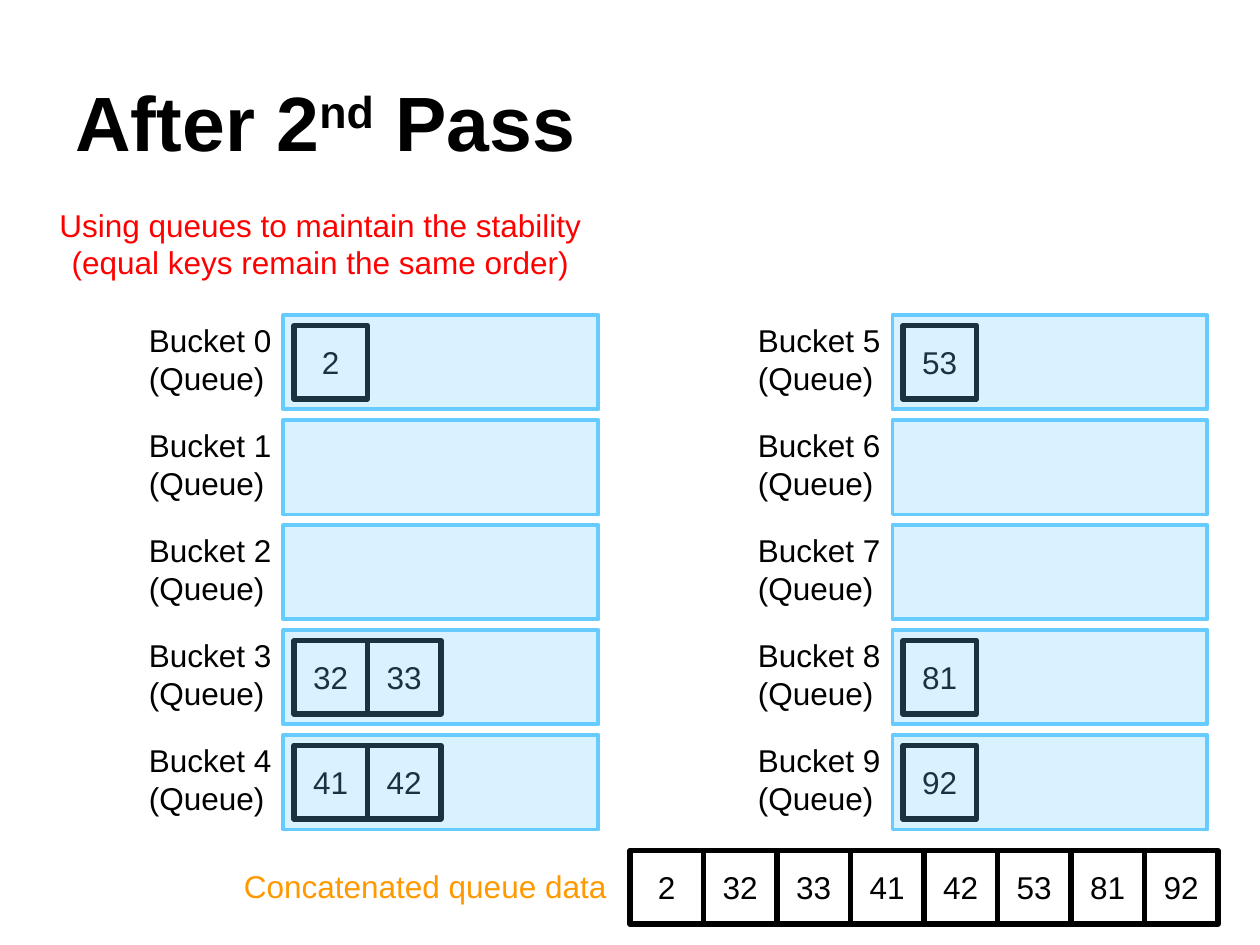
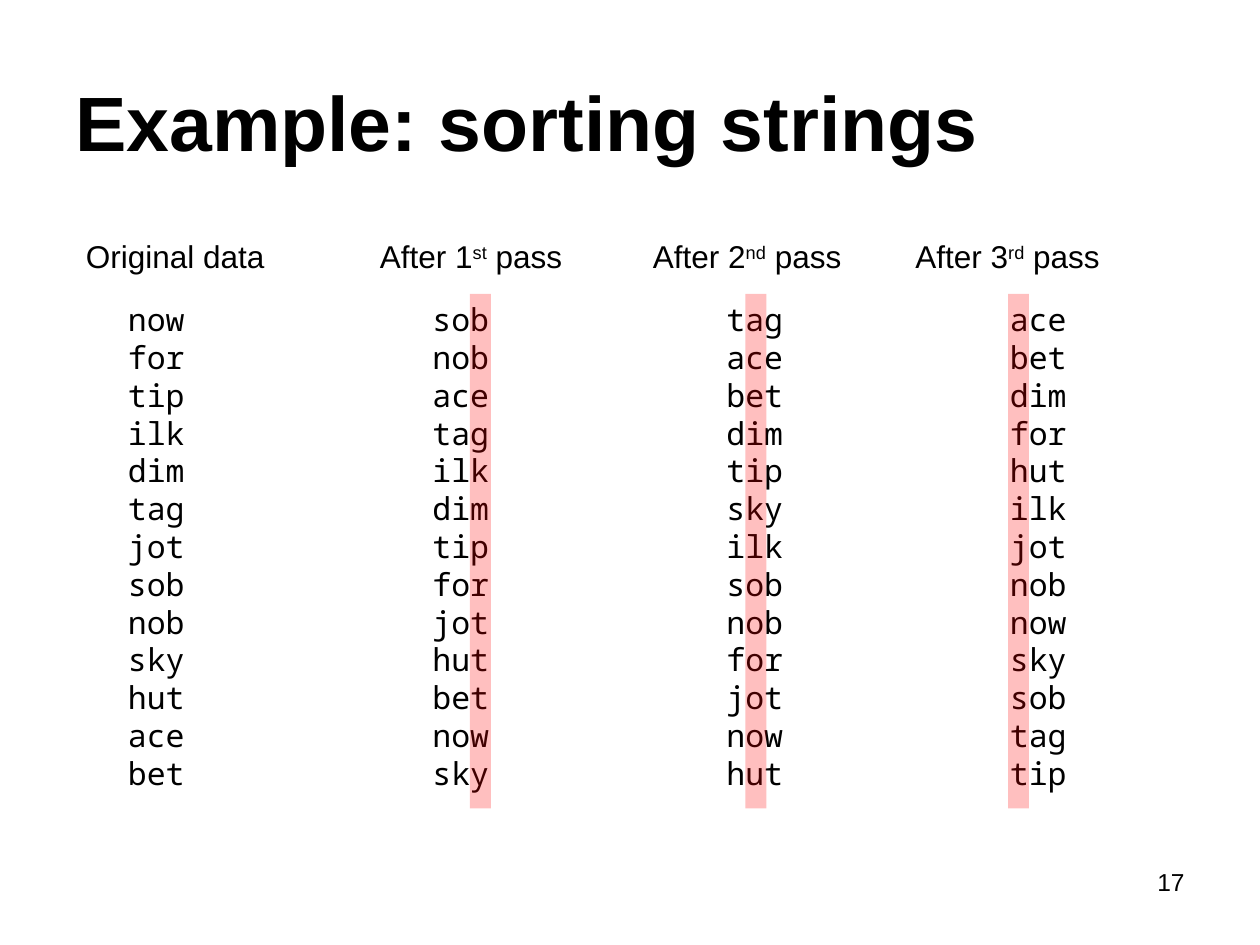
from dataclasses import dataclass

from lxml.etree import SubElement
from pptx import Presentation
from pptx.dml.color import RGBColor
from pptx.enum.shapes import MSO_SHAPE
from pptx.enum.text import MSO_ANCHOR, PP_ALIGN
from pptx.oxml.ns import qn
from pptx.util import Pt


@dataclass(frozen=True)
class Theme:
    font: str = "Arial"
    mono: str = "Noto Sans Mono"
    black: str = "000000"
    white: str = "FFFFFF"
    bucket: str = "66CCFF"
    red: str = "FF0000"
    orange: str = "FF9900"
    title_size: float = 44
    body_size: float = 18
    number_size: float = 14
    leading: float = 1.2
    alpha: int = 25


T = Theme()

BUCKETS = [[2], [], [], [32, 33], [41, 42], [53], [], [], [81], [92]]

PASSES = [
    ("Original data", 42, 66, None,
     "now for tip ilk dim tag jot sob nob sky hut ace bet"),
    ("After 1^st^ pass", 210, 240, 28.5,
     "sob nob ace tag ilk dim tip for jot hut bet now sky"),
    ("After 2^nd^ pass", 366, 408, 18,
     "tag ace bet dim tip sky ilk sob nob for jot now hut"),
    ("After 3^rd^ pass", 516, 570, 6,
     "ace bet dim for hut ilk jot nob now sky sob tag tip"),
]


def write(tf, text, size=T.body_size, font=T.font, color=T.black, bold=False,
          align=PP_ALIGN.LEFT, anchor=MSO_ANCHOR.TOP, wrap=True):
    tf.word_wrap = wrap
    tf.vertical_anchor = anchor
    for i, line in enumerate(text.split("\n")):
        p = tf.paragraphs[0] if i == 0 else tf.add_paragraph()
        p.alignment = align
        p.line_spacing = Pt(size * T.leading)
        for j, part in enumerate(line.split("^")):
            r = p.add_run()
            r.text = part
            r.font.size = Pt(size)
            r.font.name = font
            r.font.bold = bold
            r.font.color.rgb = RGBColor.from_string(color)
            if j % 2:
                r.font._element.set("baseline", "30000")


def add_text(s, text, x, y, w, h, **fmt):
    tf = s.shapes.add_textbox(Pt(x), Pt(y), Pt(w), Pt(h)).text_frame
    write(tf, text, **fmt)
    return tf


def add_rect(s, x, y, w, h, fill, line=None, weight=0, alpha=None):
    sp = s.shapes.add_shape(MSO_SHAPE.RECTANGLE, Pt(x), Pt(y), Pt(w), Pt(h))
    sp.shadow.inherit = False
    sp.fill.solid()
    sp.fill.fore_color.rgb = RGBColor.from_string(fill)
    if alpha:
        clr = sp.fill._xPr.find(qn("a:solidFill"))[0]
        SubElement(clr, qn("a:alpha")).set("val", str(alpha * 1000))
    if line:
        sp.line.color.rgb = RGBColor.from_string(line)
        sp.line.width = Pt(weight)
    else:
        sp.line.fill.background()
    return sp


def add_title(s, text):
    tf = add_text(s, text, 36, 21.6, 648, 90, size=T.title_size, bold=True,
                  anchor=MSO_ANCHOR.MIDDLE)
    tf.margin_top = Pt(8)


def add_number(s, number):
    add_text(s, str(number), 516, 492, 168, 37.44, size=T.number_size,
             align=PP_ALIGN.RIGHT)


def add_cells(s, values, x, y, side=42):
    for i, value in enumerate(values):
        sp = add_rect(s, x + i * side, y, side, side, T.white, T.black, 3)
        write(sp.text_frame, str(value), align=PP_ALIGN.CENTER,
              anchor=MSO_ANCHOR.MIDDLE, wrap=False)


def add_bucket(s, index, values, x, y):
    add_text(s, f"Bucket {index} (Queue)", x, y, 90, 50.4)
    add_cells(s, values, x + 90, y + 6)
    add_rect(s, x + 84, y, 180, 54, T.bucket, T.bucket, 2.25, T.alpha)


def add_pass(s, heading, heading_x, words_x, bar_dx, words, y):
    add_text(s, heading, heading_x, y, 156, 28.8)
    add_text(s, words.replace(" ", "\n"), words_x, y + 36, 54, 288.72,
             font=T.mono)
    if bar_dx is not None:
        add_rect(s, words_x + bar_dx, y + 36, 12, 294, T.red, alpha=T.alpha)


def bucket_slide(s):
    add_title(s, "After 2^nd^ Pass")
    add_text(s, "Using queues to maintain the stability "
             "(equal keys remain the same order)",
             18, 114, 330, 50.4, color=T.red, align=PP_ALIGN.CENTER)
    for i, values in enumerate(BUCKETS):
        col, row = divmod(i, 5)
        add_bucket(s, i, values, 78 + col * 348, 180 + row * 60)
    add_text(s, "Concatenated queue data", 132, 492, 222, 28.8,
             color=T.orange, align=PP_ALIGN.CENTER)
    add_cells(s, sum(BUCKETS, []), 360, 486)


def strings_slide(s):
    add_title(s, "Example: sorting strings")
    for step in PASSES:
        add_pass(s, *step, y=132)
    add_number(s, 17)


def main():
    prs = Presentation()
    prs.slide_width, prs.slide_height = Pt(720), Pt(540)
    for build in (bucket_slide, strings_slide):
        build(prs.slides.add_slide(prs.slide_layouts[6]))
    prs.save("out.pptx")


if __name__ == "__main__":
    main()
